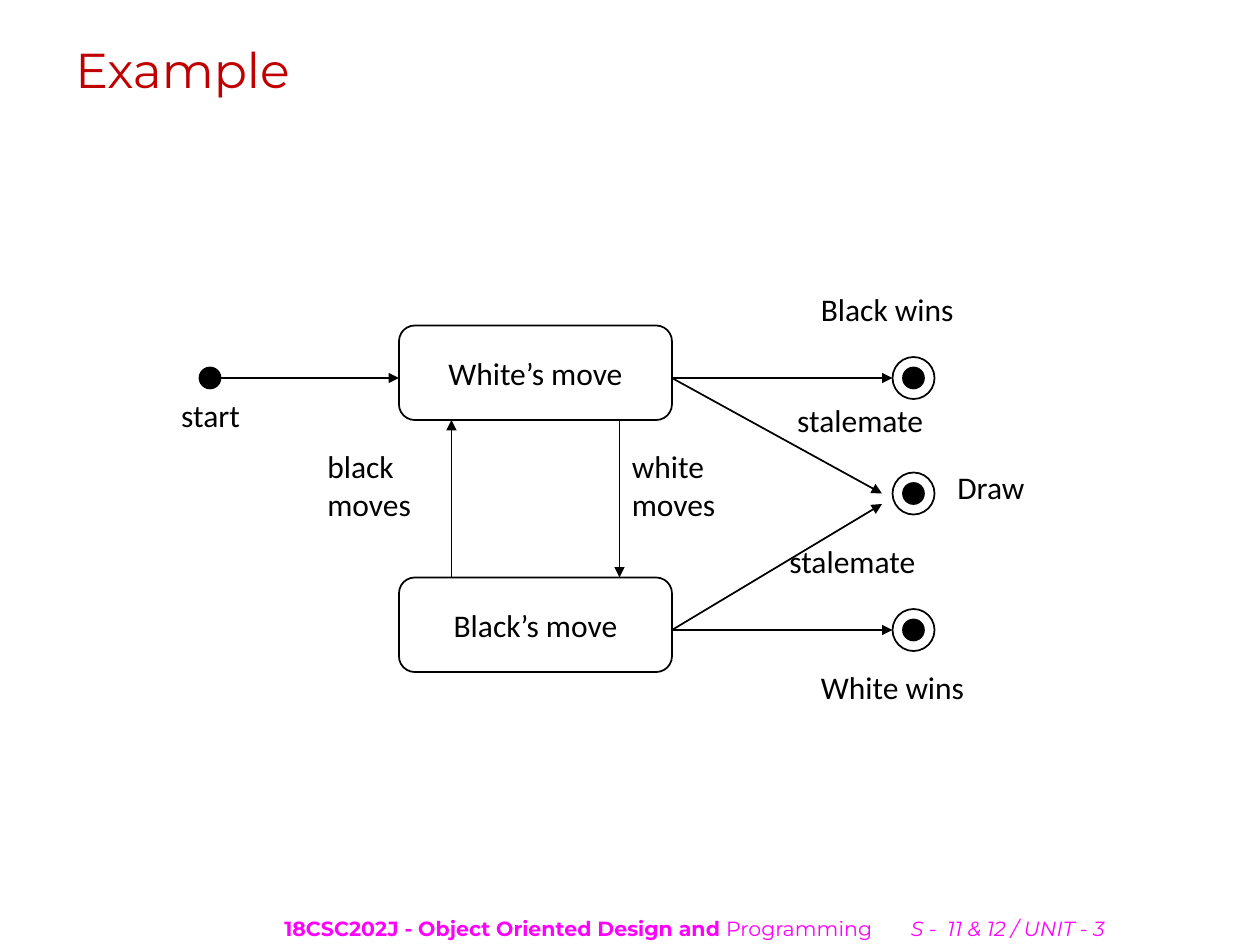
from lxml import etree
from pptx import Presentation
from pptx.dml.color import RGBColor
from pptx.enum import shapes, text
from pptx.oxml.ns import qn
from pptx.util import Pt

BLACK, WHITE, RED, MAGENTA = "000000", "FFFFFF", "C00000", "FF00FF"
BODY, BRAND = "Calibri", "Montserrat"

WHITE_Y, DRAW_Y, BLACK_Y = 216, 282, 360
START_X, END_X = 120, 522
BOX_LEFT, BOX_W, BOX_H, BOX_RISE = 228, 156, 54, 30
BOX_RIGHT = BOX_LEFT + BOX_W
DOT_R, RING_R = 6, 12
WHITE_BOTTOM = WHITE_Y - BOX_RISE + BOX_H
BLACK_TOP = BLACK_Y - BOX_RISE

STATES = [("White’s move", WHITE_Y), ("Black’s move", BLACK_Y)]
END_ROWS = [WHITE_Y, DRAW_Y, BLACK_Y]
LABELS = [
    ("start", 96.5, 222.5, 56),
    ("white\nmoves", 354, 252, 77),
    ("black\nmoves", 180, 252, 77),
    ("Black wins", 462, 162, 122),
    ("Draw", 540, 264, 68),
    ("White wins", 462, 378, 125),
    ("stalemate", 448.5, 225.5, 105),
    ("stalemate", 444, 306, 105),
]
ARROWS = [
    (START_X + DOT_R, WHITE_Y, BOX_LEFT, WHITE_Y),
    (258, BLACK_TOP, 258, WHITE_BOTTOM),
    (354, WHITE_BOTTOM, 354, BLACK_TOP),
    (BOX_RIGHT, WHITE_Y, END_X - RING_R, WHITE_Y),
    (BOX_RIGHT, BLACK_Y, END_X - RING_R, BLACK_Y),
    (BOX_RIGHT, WHITE_Y, 504, DRAW_Y),
    (BOX_RIGHT, BLACK_Y, 504, 288),
]
FOOTER = [
    ("18CSC202J - Object Oriented Design and ", True, False),
    ("Programming\t", False, False),
    ("S -  11 & 12 / UNIT - 3", False, True),
]
FOOTER_TAB = 358


def rgb(color):
    return RGBColor.from_string(color)


def style(r, size, font, color):
    r.font.size, r.font.name = Pt(size), font
    r.font.color.rgb = rgb(color)


def write(tf, words, size=18, font=BODY, color=BLACK):
    tf.text = words
    for p in tf.paragraphs:
        for r in p.runs:
            style(r, size, font, color)


def add_text(s, left, top, width, height):
    tf = s.shapes.add_textbox(Pt(left), Pt(top), Pt(width), Pt(height)).text_frame
    tf.word_wrap = True
    return tf


def add_outlined(s, kind, left, top, width, height, fill):
    sp = s.shapes.add_shape(kind, Pt(left), Pt(top), Pt(width), Pt(height))
    sp.shadow.inherit = False
    sp.fill.solid()
    sp.fill.fore_color.rgb = rgb(fill)
    sp.line.color.rgb = rgb(BLACK)
    sp.line.width = Pt(1)
    return sp


def add_circle(s, x, y, radius, fill):
    add_outlined(s, shapes.MSO_SHAPE.OVAL, x - radius, y - radius, 2 * radius, 2 * radius, fill)


def add_state(s, name, y):
    sp = add_outlined(s, shapes.MSO_SHAPE.ROUNDED_RECTANGLE,
                      BOX_LEFT, y - BOX_RISE, BOX_W, BOX_H, WHITE)
    tf = sp.text_frame
    tf.word_wrap = False
    tf.vertical_anchor = text.MSO_ANCHOR.MIDDLE
    write(tf, name)
    tf.paragraphs[0].alignment = text.PP_ALIGN.CENTER


def add_arrow(s, x1, y1, x2, y2):
    line = s.shapes.add_connector(shapes.MSO_CONNECTOR.STRAIGHT, Pt(x1), Pt(y1), Pt(x2), Pt(y2))
    line.line.color.rgb = rgb(BLACK)
    line.line.width = Pt(1)
    props = line._element.spPr
    etree.SubElement(props.find(qn("a:ln")), qn("a:tailEnd"), type="triangle")
    etree.SubElement(props, qn("a:effectLst"))


def add_footer(s):
    tf = add_text(s, 162.5, 519, 520, 23)
    tf.margin_left = tf.margin_right = 0
    tf.vertical_anchor = text.MSO_ANCHOR.MIDDLE
    p = tf.paragraphs[0]
    tabs = etree.SubElement(p._p.get_or_add_pPr(), qn("a:tabLst"))
    etree.SubElement(tabs, qn("a:tab"), pos=str(Pt(FOOTER_TAB)), algn="l")
    for words, bold, italic in FOOTER:
        r = p.add_run()
        r.text = words
        style(r, 11.7, BRAND, MAGENTA)
        r.font.bold, r.font.italic = bold, italic


def main():
    prs = Presentation()
    prs.slide_width, prs.slide_height = Pt(720), Pt(540)
    s = prs.slides.add_slide(prs.slide_layouts[6])

    title = add_text(s, 36, 21.6, 648, 35.3)
    title.vertical_anchor = text.MSO_ANCHOR.MIDDLE
    write(title, "Example", 28, BRAND, RED)

    for name, y in STATES:
        add_state(s, name, y)
    add_circle(s, START_X, WHITE_Y, DOT_R, BLACK)
    for y in END_ROWS:
        add_circle(s, END_X, y, RING_R, WHITE)
        add_circle(s, END_X, y, DOT_R, BLACK)
    for ends in ARROWS:
        add_arrow(s, *ends)
    for words, left, top, width in LABELS:
        height = 65 if "\n" in words else 36
        write(add_text(s, left, top, width, height), words)
    add_footer(s)
    prs.save("out.pptx")


if __name__ == "__main__":
    main()
